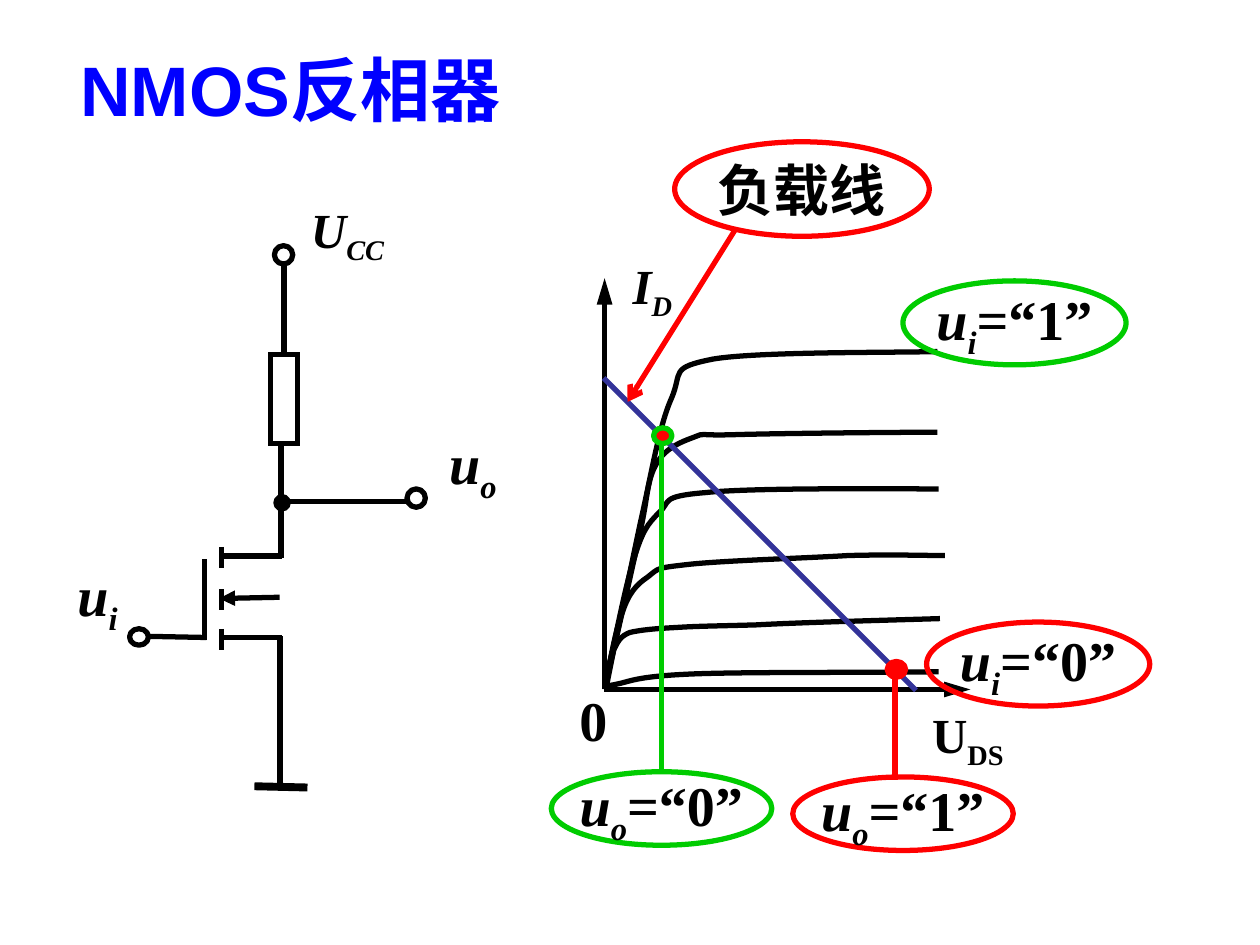
from dataclasses import dataclass
from typing import NamedTuple

from lxml.etree import SubElement
from pptx import Presentation
from pptx.dml.color import RGBColor
from pptx.enum.shapes import MSO_CONNECTOR, MSO_SHAPE
from pptx.enum.text import MSO_ANCHOR, MSO_AUTO_SIZE, PP_ALIGN
from pptx.oxml.ns import qn
from pptx.util import Pt

BLACK, RED, GREEN, BLUE, NAVY, WHITE = (
    "000000", "FF0000", "00CC00", "0000FF", "333399", "FFFFFF")
SERIF = "Times New Roman"


class Box(NamedTuple):
    left: float
    top: float
    width: float
    height: float


@dataclass
class Symbol:
    base: str
    sub: str = ""
    value: str = ""
    italic: bool = True
    size: float = 32
    color: str = BLACK
    face: str = SERIF


@dataclass
class Line:
    x1: float
    y1: float
    x2: float
    y2: float
    color: str = BLACK
    width: float = 3
    arrow: str = ""
    arrow_length: str = "med"


@dataclass
class Oval:
    box: Box
    color: str = BLACK
    fill: str = ""
    width: float = 3
    symbol: Symbol | None = None


@dataclass
class Label:
    box: Box
    symbol: Symbol


@dataclass
class Curve:
    """Cubic Bezier pieces: a start, then three points per piece."""
    knots: list


def rgb(value: str) -> RGBColor:
    return RGBColor.from_string(value)


def apply(target, values: dict) -> None:
    for name, value in values.items():
        setattr(target, name, value)


def write(frame, symbol: Symbol, **frame_format) -> None:
    """Write a quantity with its subscript and value as separate runs."""
    apply(frame, frame_format)
    parts = ((symbol.base, symbol.italic, False),
             (symbol.sub, symbol.italic, True),
             (symbol.value, False, False))
    for text, italic, lowered in parts:
        if not text:
            continue
        run = frame.paragraphs[0].add_run()
        run.text = text
        apply(run.font, {"name": symbol.face, "size": Pt(symbol.size),
                         "bold": True, "italic": italic})
        run.font.color.rgb = rgb(symbol.color)
        if lowered:
            run.font._element.set("baseline", "-25000")


def add_label(shapes, label: Label, **frame_format) -> None:
    textbox = shapes.add_textbox(*map(Pt, label.box))
    frame_format = frame_format or {"auto_size": MSO_AUTO_SIZE.SHAPE_TO_FIT_TEXT}
    write(textbox.text_frame, label.symbol, word_wrap=True, **frame_format)


def style(shape, color: str, width: float, fill: str = "") -> None:
    shape.shadow.inherit = False
    shape.line.color.rgb = rgb(color)
    shape.line.width = Pt(width)
    if fill:
        shape.fill.solid()
        shape.fill.fore_color.rgb = rgb(fill)
    else:
        shape.fill.background()


def add_line(shapes, line: Line):
    connector = shapes.add_connector(
        MSO_CONNECTOR.STRAIGHT, *map(Pt, (line.x1, line.y1, line.x2, line.y2)))
    connector.line.color.rgb = rgb(line.color)
    connector.line.width = Pt(line.width)
    properties = connector._element.spPr
    if line.arrow:
        SubElement(properties.find(qn("a:ln")), qn("a:tailEnd"),
                   type=line.arrow, w="med", len=line.arrow_length)
    SubElement(properties, qn("a:effectLst"))
    return connector


def add_oval(shapes, oval: Oval) -> None:
    shape = shapes.add_shape(MSO_SHAPE.OVAL, *map(Pt, oval.box))
    style(shape, oval.color, oval.width, oval.fill)
    if oval.symbol:
        write(shape.text_frame, oval.symbol, word_wrap=False,
              vertical_anchor=MSO_ANCHOR.MIDDLE)
        shape.text_frame.paragraphs[0].alignment = PP_ALIGN.CENTER


def add_curve(shapes, curve: Curve) -> None:
    start, *controls = [tuple(map(Pt, knot)) for knot in curve.knots]
    builder = shapes.build_freeform(*start, scale=1.0)
    builder.add_line_segments(controls, close=False)
    shape = builder.convert_to_shape()
    outline = next(shape._element.iter(qn("a:path")))
    segments = outline.findall(qn("a:lnTo"))
    for i in range(0, len(segments), 3):
        bend = SubElement(outline, qn("a:cubicBezTo"))
        for segment in segments[i:i + 3]:
            bend.append(segment[0])
            outline.remove(segment)
    style(shape, BLACK, 3)


def add_part(shapes, part) -> None:
    adders = {Line: add_line, Oval: add_oval, Label: add_label, Curve: add_curve}
    adders[type(part)](shapes, part)


def add_group(shapes, parts: list):
    members = shapes.add_group_shape().shapes
    for part in parts:
        add_part(members, part)
    return members


PLOT = [
    Line(345.5, 394, 345.5, 159, arrow="triangle", arrow_length="lg"),
    Line(345, 394, 554.5, 394, arrow="triangle", arrow_length="lg"),
    Curve([(346.3, 393.8), (347, 393.1), (344.2, 392.4), (352.1, 391), (360, 389.5),
           (362.9, 386.6), (393.8, 385.2), (423.4, 383.8), (506.2, 384.5),
           (536.4, 383.8)]),
    Curve([(346.3, 393.8), (346.3, 391), (347.8, 381.6), (348.5, 378), (349.9, 373.7),
           (349.2, 372.2), (351.4, 370.1), (352.8, 367.2), (354.2, 363.6), (360, 361.4),
           (366.5, 360), (373, 359.3), (386.6, 358.6), (398.9, 357.8), (407.5, 357.8),
           (432, 357.1), (457.2, 355.7), (515.5, 354.2), (537.1, 353.5)]),
    Curve([(345.6, 393.8), (347, 386.6), (351.4, 360.7), (355.7, 349.9), (359.3, 339.1),
           (363.6, 334.1), (370.1, 329.8), (376.6, 324.7), (374.4, 324.7),
           (393.1, 322.6), (412.6, 320.4), (460.1, 319), (484.6, 317.5), (509, 316.8),
           (528.5, 317.5), (540, 317.5)]),
    Curve([(346.3, 391), (348.5, 379.4), (357.1, 335.5), (362.2, 319.7), (367.2, 303.1),
           (370.1, 299.5), (376.6, 293), (383.8, 286.6), (376.6, 283.7), (403.2, 281.5),
           (429.8, 278.6), (508.3, 279.4), (536.4, 279.4)]),
    Curve([(346.3, 391), (349.2, 377.3), (360.7, 328.3), (365, 307.4), (370.1, 286.6),
           (369.4, 275.8), (374.4, 266.4), (379.4, 256.3), (388.8, 252.7),
           (396.7, 249.8), (403.9, 247), (396.7, 249.1), (419.8, 248.4),
           (442.8, 247.7), (511.2, 247), (535.7, 247)]),
    Curve([(346.3, 393.8), (349.2, 378), (360, 326.9), (365.8, 299.5), (372.2, 271.4),
           (376.6, 243.4), (383.8, 227.5), (390.2, 212.4), (382.3, 210.2),
           (407.5, 205.2), (432.7, 200.9), (508.3, 201.6), (535.7, 200.9)]),
    Label(Box(324, 388, 22.3, 46), Symbol("0", italic=False)),
    Label(Box(525.6, 398.9, 67.7, 45.4), Symbol("U", "DS", italic=False, size=28)),
    Label(Box(354.4, 142.6, 66.2, 45.4), Symbol("I", "D", size=28)),
]
LOAD_LINE = Line(345, 216, 523.5, 394.5, NAVY)
LOAD_LINE_NOTE = [
    Line(419.8, 131.8, 358.6, 229.7, RED, arrow="arrow"),
    Oval(Box(385.5, 81, 145.5, 54), RED, symbol=Symbol("负载线", italic=False)),
]
INPUT_LEVELS = [
    Oval(Box(516, 160.5, 127.5, 48), GREEN, symbol=Symbol("u", "i", "=“1”")),
    Oval(Box(529.5, 355.5, 127.5, 48), RED, symbol=Symbol("u", "i", "=“0”")),
]
OUTPUT_LOW = [
    Oval(Box(373.5, 244.5, 10.5, 9), GREEN, RED),
    Line(378, 252, 378, 439.5, GREEN),
    Oval(Box(315, 441, 126, 42), GREEN, symbol=Symbol("u", "o", "=“0”")),
]
OUTPUT_HIGH = [
    Oval(Box(507, 378, 10.5, 9), RED, RED),
    Line(511.5, 384, 511.5, 445.5, RED),
    Oval(Box(453, 444, 126, 42), RED, symbol=Symbol("u", "o", "=“1”")),
]
CIRCUIT = [
    Line(83.5, 363.6, 118, 364.3),
    Oval(Box(74, 359.3, 10.8, 9.4)),
    *(Line(126.7, top, 126.7, top + 12) for top in (336.8, 312.5, 359.3)),
    Line(127.4, 317.7, 161.3, 317.7),
    Line(127.4, 364.5, 161.3, 364.5),
    Line(160.6, 319, 160.6, 251.3),
    Line(160, 449.3, 160, 363.6),
    Line(145.4, 449.3, 175.7, 450, width=4.5),
    Oval(Box(156.8, 140.4, 10.5, 10.5)),
    Line(160.6, 286.8, 234, 286.8),
    Oval(Box(232.6, 279.4, 10.5, 10.5)),
    Label(Box(170.6, 110.2, 82.8, 45.4), Symbol("U", "CC", size=28)),
    Line(159.8, 341.3, 125.3, 342, arrow="triangle"),
    Line(117, 319.7, 117, 365.8),
    Label(Box(37.2, 317, 46.8, 51), Symbol("u", "i")),
    Label(Box(249.6, 241.2, 46.8, 51), Symbol("u", "o")),
    Oval(Box(156.7, 282.8, 9, 9), fill=BLACK, width=1),
]


def add_resistor(shapes) -> None:
    box = Box(154.6, 202.5, 15.5, 51)
    resistor = shapes.add_shape(MSO_SHAPE.RECTANGLE, *map(Pt, box))
    style(resistor, BLACK, 3, WHITE)
    SubElement(resistor._element.spPr.find(qn("a:ln")), qn("a:miter"), lim="800000")
    center = box.left + box.width / 2
    supply_wire = add_line(shapes, Line(center, box.top, center, 151.2))
    supply_wire.begin_connect(resistor, 0)


def main() -> None:
    deck = Presentation()
    apply(deck, {"slide_width": Pt(720), "slide_height": Pt(540)})
    shapes = deck.slides.add_slide(deck.slide_layouts[6]).shapes

    add_group(shapes, PLOT)
    add_part(shapes, LOAD_LINE)
    add_group(shapes, LOAD_LINE_NOTE)
    for level in INPUT_LEVELS:
        add_part(shapes, level)
    for output in (OUTPUT_LOW, OUTPUT_HIGH):
        add_group(shapes, output)
    add_resistor(add_group(shapes, CIRCUIT))

    title = Symbol("NMOS反相器", italic=False, size=40, color=BLUE, face="Arial")
    add_label(shapes, Label(Box(38.9, 21.6, 404.6, 57.6), title),
              vertical_anchor=MSO_ANCHOR.MIDDLE)
    deck.save("out.pptx")


if __name__ == "__main__":
    main()
